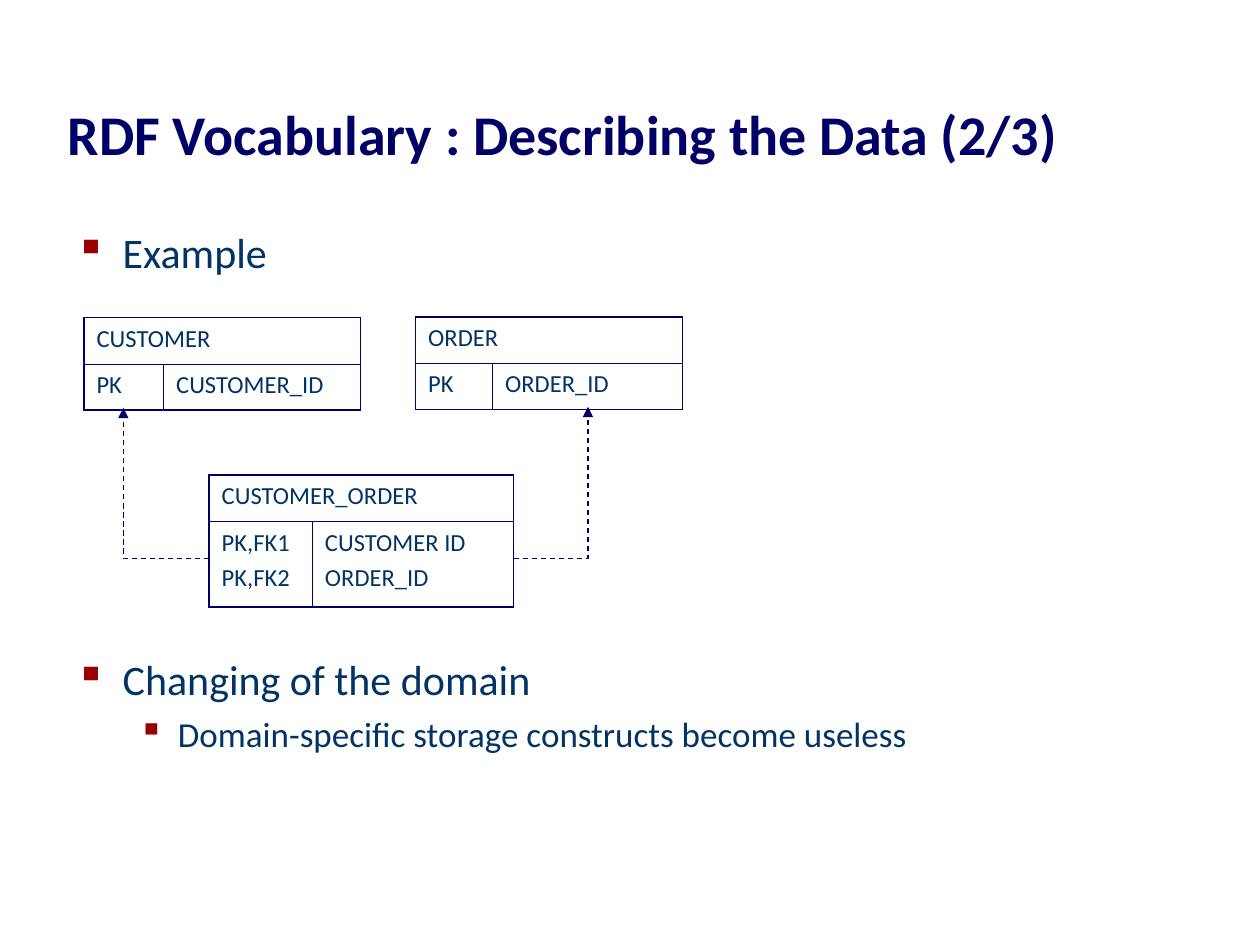
import pptx
import pptx.dml.color
import pptx.enum.dml
import pptx.enum.shapes
import pptx.enum.text
import pptx.oxml.ns
import pptx.util
from lxml import etree

Pt = pptx.util.Pt
qn = pptx.oxml.ns.qn
NAVY = "000066"
TEXT = "003366"
BULLET = "990000"
OUTER, INNER = 1.08, 0.45


def color(value):
    return pptx.dml.color.RGBColor.from_string(value)


def add_run(p, text, size, value=TEXT, bold=False):
    r = p.add_run()
    r.text = text
    r.font.name = "Calibri"
    r.font.size = Pt(size)
    r.font.bold = bold
    r.font.color.rgb = color(value)


def set_title(s, text):
    sp = s.shapes.title
    sp.left, sp.top, sp.width, sp.height = Pt(31.5), Pt(9), Pt(677.5), Pt(90)
    tf = sp.text_frame
    tf.auto_size = pptx.enum.text.MSO_AUTO_SIZE.NONE
    tf.vertical_anchor = pptx.enum.text.MSO_ANCHOR.BOTTOM
    p = tf.paragraphs[0]
    p.alignment = pptx.enum.text.PP_ALIGN.LEFT
    add_run(p, text, 32, NAVY, True)


def add_bullets(s, items):
    sp = s.shapes.add_textbox(Pt(36), Pt(126), Pt(641.5), Pt(351))
    tf = sp.text_frame
    tf.word_wrap = True
    for i, (text, level, size, before, margin, hanging) in enumerate(items):
        p = tf.add_paragraph() if i else tf.paragraphs[0]
        p.level = level
        pPr = p._p.get_or_add_pPr()
        pPr.set("marL", str(Pt(margin)))
        pPr.set("indent", str(-Pt(hanging)))
        clr = etree.SubElement(pPr, qn("a:buClr"))
        etree.SubElement(clr, qn("a:srgbClr"), val=BULLET)
        etree.SubElement(pPr, qn("a:buChar"), char="▪")
        p.space_before = Pt(before)
        add_run(p, text, size)


def set_borders(cell, widths):
    cell.fill.background()
    tcPr = cell._tc.get_or_add_tcPr()
    for i, (side, width) in enumerate(zip("LRTB", widths)):
        ln = etree.SubElement(tcPr, qn(f"a:ln{side}"), w=str(Pt(width)))
        fill = etree.SubElement(ln, qn("a:solidFill"))
        etree.SubElement(fill, qn("a:srgbClr"), val=NAVY)
        tcPr.insert(i, ln)


def fill_cell(cell, lines, widths):
    tf = cell.text_frame
    for i, line in enumerate(lines):
        p = tf.add_paragraph() if i else tf.paragraphs[0]
        p.space_before = Pt(3.5 if i else 0)
        add_run(p, line, 14)
    set_borders(cell, widths)


def add_entity(s, left, top, cols, body_height, name, keys, fields):
    rows = (26.5, body_height)
    tbl = s.shapes.add_table(2, 2, Pt(left), Pt(top), Pt(sum(cols)), Pt(sum(rows))).table
    tbl.first_row = False
    tbl.horz_banding = False
    for column, width in zip(tbl.columns, cols):
        column.width = Pt(width)
    for row, height in zip(tbl.rows, rows):
        row.height = Pt(height)
    tbl.cell(0, 0).merge(tbl.cell(0, 1))
    fill_cell(tbl.cell(0, 0), [name], (OUTER, OUTER, OUTER, INNER))
    fill_cell(tbl.cell(1, 0), keys, (OUTER, INNER, INNER, OUTER))
    fill_cell(tbl.cell(1, 1), fields, (INNER, OUTER, INNER, OUTER))


def add_reference(s, x1, y1, x2, y2):
    c = s.shapes.add_connector(
        pptx.enum.shapes.MSO_CONNECTOR.ELBOW, Pt(x1), Pt(y1), Pt(x2), Pt(y2))
    c.line.color.rgb = color(NAVY)
    c.line.width = Pt(0.75)
    c.line.dash_style = pptx.enum.dml.MSO_LINE.DASH
    spPr = c._element.spPr
    spPr.find(qn("a:prstGeom")).set("prst", "bentConnector2")
    etree.SubElement(spPr.find(qn("a:ln")), qn("a:tailEnd"), type="triangle")
    etree.SubElement(spPr, qn("a:effectLst"))


def main():
    prs = pptx.Presentation()
    prs.slide_width, prs.slide_height = Pt(720), Pt(540)
    s = prs.slides.add_slide(prs.slide_layouts[5])
    set_title(s, "RDF Vocabulary : Describing the Data (2/3)")
    add_bullets(s, [
        ("Example", 0, 24, 0, 27, 27),
        ("Changing of the domain", 0, 24, 215, 27, 27),
        ("Domain-specific storage constructs become useless", 1, 20, 5, 58.5, 22.5),
    ])
    add_entity(s, 48, 181.5, (45.5, 112.5), 26.5, "CUSTOMER", ["PK"], ["CUSTOMER_ID"])
    add_entity(s, 119.5, 271.5, (59, 115), 49, "CUSTOMER_ORDER",
               ["PK,FK1", "PK,FK2"], ["CUSTOMER ID", "ORDER_ID"])
    add_entity(s, 237.5, 181, (44, 108.5), 26.5, "ORDER", ["PK"], ["ORDER_ID"])
    add_reference(s, 119.5, 319, 70.5, 233)
    add_reference(s, 293.5, 319, 336, 232.5)
    prs.save("out.pptx")


if __name__ == "__main__":
    main()
